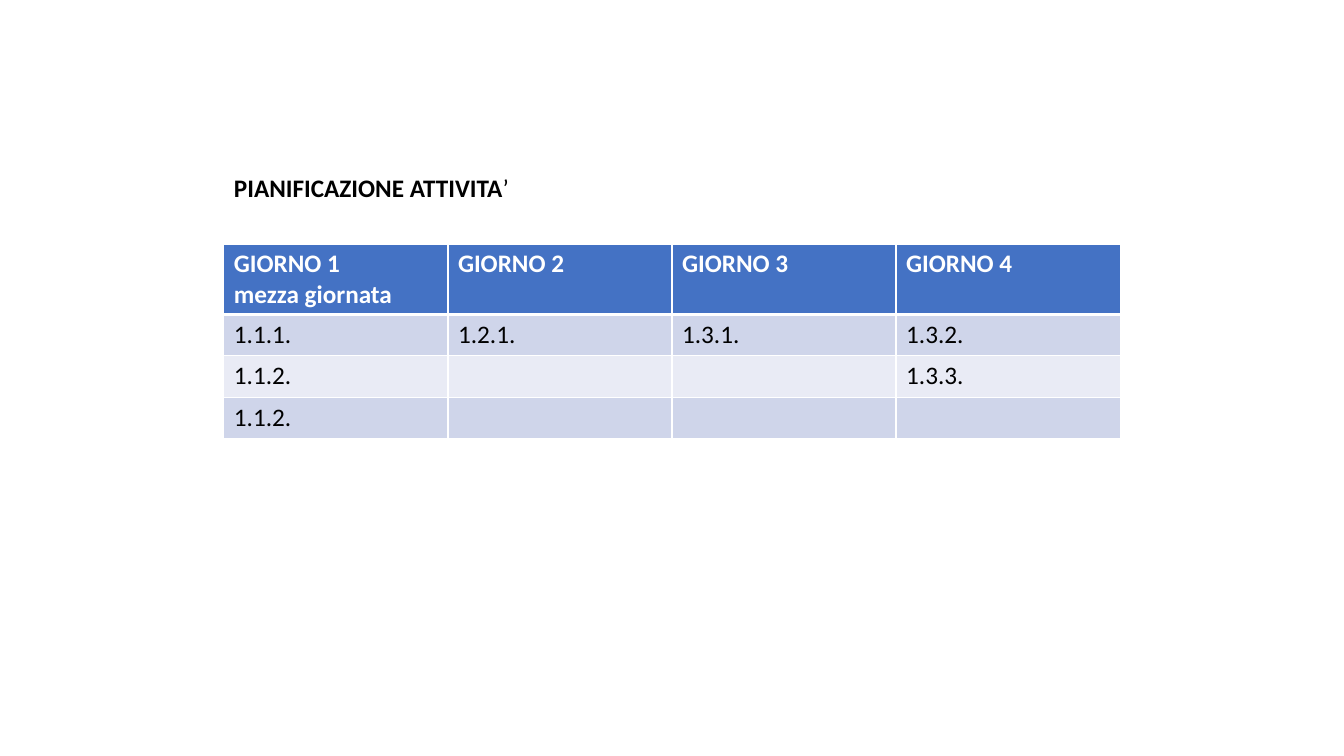
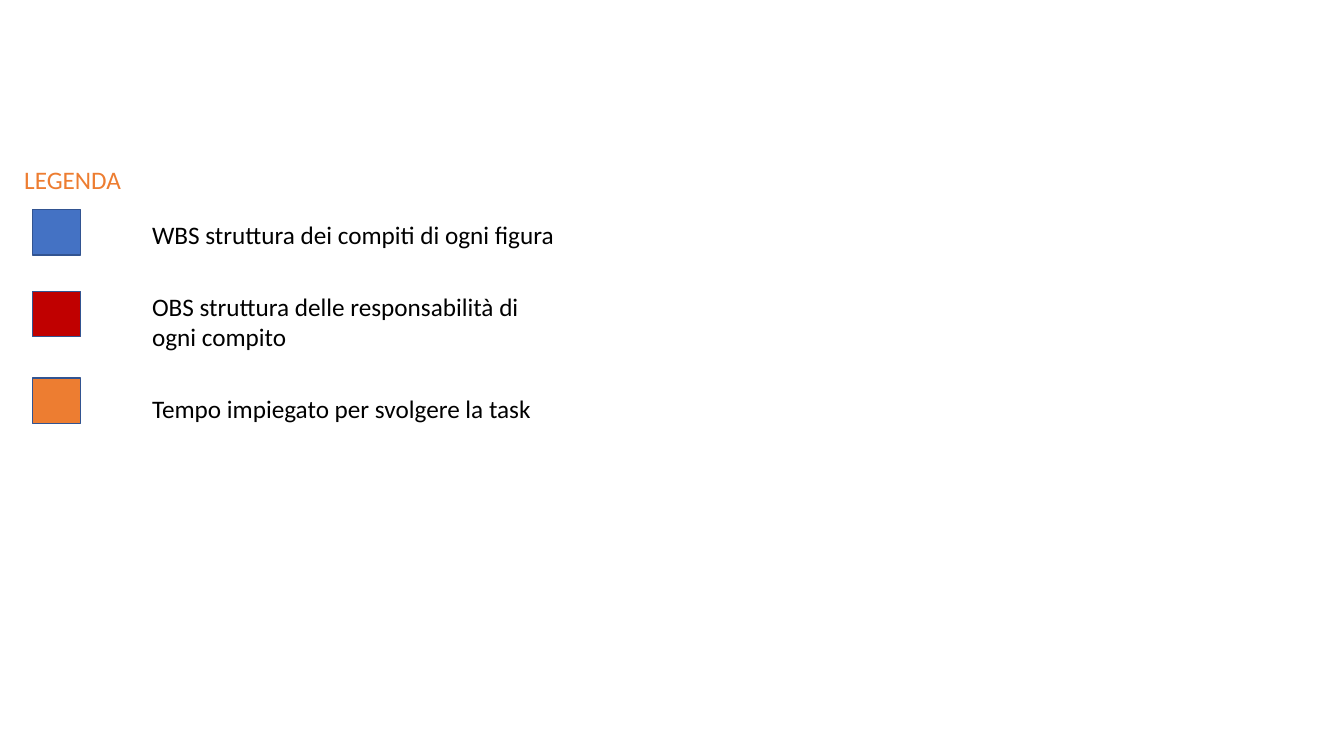
from lxml.etree import SubElement
from pptx import Presentation
from pptx.dml.color import RGBColor
from pptx.enum.shapes import MSO_SHAPE
from pptx.enum.text import MSO_ANCHOR, MSO_AUTO_SIZE, PP_ALIGN
from pptx.oxml.ns import qn
from pptx.util import Inches, Pt

FONT = "Calibri"
TEXT_SIZE = 18
BLACK, WHITE = "000000", "FFFFFF"
BLUE, RED, ORANGE = "4472C4", "C00000", "ED7D31"
OUTLINE = "325491"
BANDS = ("CFD5EA", "E9EBF5")
TITLE_ONLY = 5

SCHEDULE = [
    ["GIORNO 1\nmezza giornata", "GIORNO 2", "GIORNO 3", "GIORNO 4"],
    ["1.1.1. ", "1.2.1.", "1.3.1. ", "1.3.2. "],
    ["1.1.2. ", "", "", "1.3.3. "],
    ["1.1.2. ", "", "", ""],
]
LEGEND = [
    (BLUE, 2.08, "WBS struttura dei compiti di ogni figura ", (1.41, 2.13, 7.73, 0.4)),
    (RED, 2.89, "OBS struttura delle responsabilità di ogni compito ", (1.41, 2.84, 3.94, 1.01)),
    (ORANGE, 3.75, "Tempo impiegato per svolgere la task ", (1.41, 3.85, 4.45, 0.4)),
]


def color(value):
    """Turn a hex string into a colour."""
    return RGBColor.from_string(value)


def format_text(text_frame, text_color, bold=False):
    """Apply the shared font to every run of a text frame."""
    for paragraph in text_frame.paragraphs:
        paragraph.alignment = PP_ALIGN.LEFT
        for run in paragraph.runs:
            run.font.name = FONT
            run.font.size = Pt(TEXT_SIZE)
            run.font.bold = bold
            run.font.color.rgb = color(text_color)


def fit_text(text_frame):
    """Wrap text from the top and fit the shape to it."""
    text_frame.word_wrap = True
    text_frame.vertical_anchor = MSO_ANCHOR.TOP
    text_frame.auto_size = MSO_AUTO_SIZE.SHAPE_TO_FIT_TEXT


def add_titled_slide(presentation, text, box, text_color, bold=False):
    """Add a slide and place its title."""
    slide = presentation.slides.add_slide(presentation.slide_layouts[TITLE_ONLY])
    title = slide.shapes.title
    title.left, title.top, title.width, title.height = map(Inches, box)
    title.text_frame.text = text
    fit_text(title.text_frame)
    format_text(title.text_frame, text_color, bold)
    return slide


def add_label(slide, text, box):
    """Add a wrapped line of legend text."""
    text_frame = slide.shapes.add_textbox(*map(Inches, box)).text_frame
    text_frame.text = text
    fit_text(text_frame)
    format_text(text_frame, BLACK)


def add_swatch(slide, top, fill_color):
    """Add an outlined legend square."""
    shape = slide.shapes.add_shape(
        MSO_SHAPE.RECTANGLE, Inches(0.32), Inches(top), Inches(0.48), Inches(0.45))
    shape.shadow.inherit = False
    shape.fill.solid()
    shape.fill.fore_color.rgb = color(fill_color)
    shape.line.color.rgb = color(OUTLINE)
    shape.line.width = Pt(1)


def set_borders(cell, top_width, bottom_width):
    """Draw white borders around a table cell."""
    properties = cell._tc.get_or_add_tcPr()
    widths = {"a:lnL": 1, "a:lnR": 1, "a:lnT": top_width, "a:lnB": bottom_width}
    for tag, width in widths.items():
        line = SubElement(properties, qn(tag), w=str(Pt(width)))
        fill = SubElement(line, qn("a:solidFill"))
        SubElement(fill, qn("a:srgbClr"), val=WHITE)


def add_schedule(slide, rows):
    """Add the banded table of activities by day."""
    table = slide.shapes.add_table(
        len(rows), len(rows[0]), Inches(2.22), Inches(2.42), Inches(8.89), Inches(1.92)).table
    for row_index, texts in enumerate(rows):
        header = row_index == 0
        table.rows[row_index].height = Inches(0.7 if header else 0.41)
        fill_color = BLUE if header else BANDS[(row_index - 1) % 2]
        for column_index, text in enumerate(texts):
            cell = table.cell(row_index, column_index)
            cell.text_frame.text = text
            format_text(cell.text_frame, WHITE if header else BLACK, header)
            set_borders(cell, 3 if row_index == 1 else 1, 3 if header else 1)
            cell.fill.solid()
            cell.fill.fore_color.rgb = color(fill_color)


def build_schedule_slide(presentation):
    """Build the activity planning slide."""
    slide = add_titled_slide(
        presentation, "PIANIFICAZIONE ATTIVITA", (2.22, 1.66, 6.11, 0.4), BLACK, bold=True)
    paragraph = slide.shapes.title.text_frame.paragraphs[0]
    apostrophe = paragraph.add_run()
    apostrophe.text = "’"
    format_text(slide.shapes.title.text_frame, BLACK, bold=True)
    apostrophe.font.bold = False
    add_schedule(slide, SCHEDULE)


def build_legend_slide(presentation):
    """Build the colour legend slide."""
    slide = add_titled_slide(presentation, "LEGENDA", (0.14, 1.58, 3.65, 0.4), ORANGE)
    for fill_color, top, text, box in LEGEND:
        add_swatch(slide, top, fill_color)
        add_label(slide, text, box)


def main():
    """Build and save the presentation."""
    presentation = Presentation()
    presentation.slide_width = Inches(13.33)
    presentation.slide_height = Inches(7.5)
    build_schedule_slide(presentation)
    build_legend_slide(presentation)
    presentation.save("out.pptx")


main()
